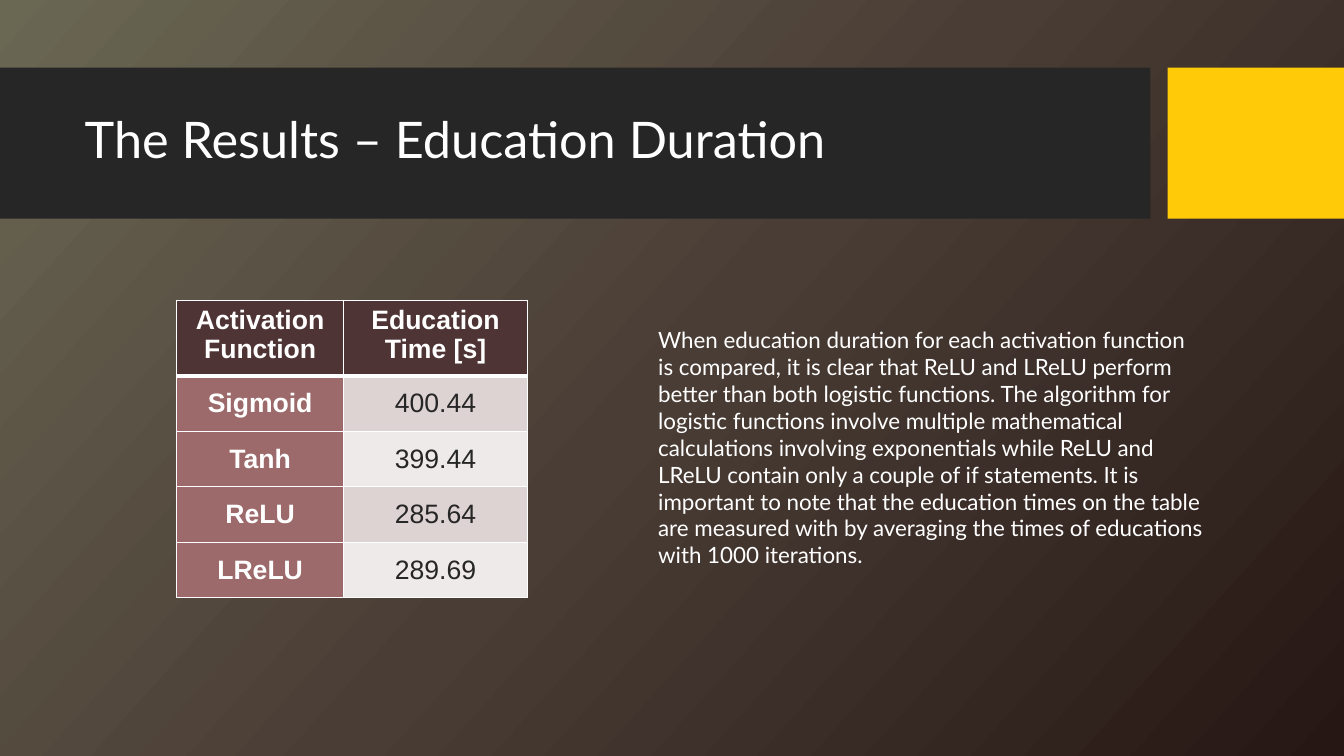
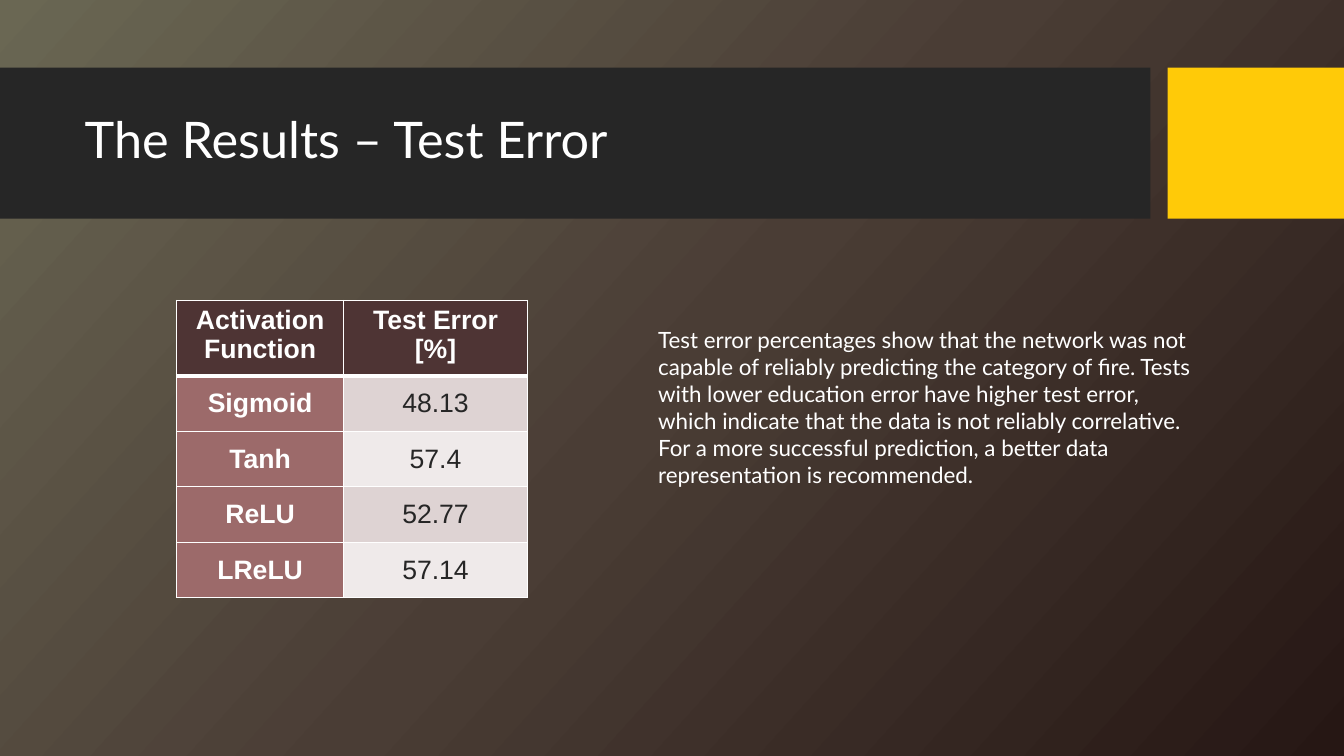
import copy
from dataclasses import dataclass

import pptx
import pptx.dml.color
import pptx.enum.shapes
import pptx.enum.text
import pptx.oxml
import pptx.oxml.ns
import pptx.util

Inches = pptx.util.Inches
Pt = pptx.util.Pt
RGB = pptx.dml.color.RGBColor.from_string
ALIGN = pptx.enum.text.PP_ALIGN
ANCHOR = pptx.enum.text.MSO_ANCHOR


@dataclass(frozen=True)
class Theme:
    backdrop: tuple = ("6A6753", "4A3D35", "261714")
    backdrop_angle: int = 42
    dark: str = "262626"
    accent: str = "FFCA08"
    light: str = "FFFFFF"
    header: str = "4E3434"
    label: str = "9C6A6A"
    stripes: tuple = ("DED3D3", "EFEAEA")
    text_font: str = "Lato"
    table_font: str = "Arial"
    title_size: int = 36
    table_size: int = 19
    text_size: int = 16


THEME = Theme()
FUNCTIONS = ["Sigmoid", "Tanh", "ReLU", "LReLU"]
RESULTS = [
    {
        "title": "The Results – Education Duration",
        "measure": "Education Time [s]",
        "values": ["400.44", "399.44", "285.64", "289.69"],
        "comment": (
            "When education duration for each activation function is compared, it is clear "
            "that ReLU and LReLU perform better than both logistic functions. The algorithm "
            "for logistic functions involve multiple mathematical calculations involving "
            "exponentials while ReLU and LReLU contain only a couple of if statements. It is "
            "important to note that the education times on the table are measured with by "
            "averaging the times of educations with 1000 iterations."
        ),
        "comment_height": 2.52,
    },
    {
        "title": "The Results – Test Error",
        "measure": "Test Error\n[%]",
        "values": ["48.13", "57.4", "52.77", "57.14"],
        "comment": (
            "Test error percentages show that the network was not capable of reliably "
            "predicting the category of fire. Tests with lower education error have higher "
            "test error, which indicate that the data is not reliably correlative. For a "
            "more successful prediction, a better data representation is recommended."
        ),
        "comment_height": 1.72,
    },
]
COLUMN_WIDTHS = [1.66, 1.82]
ROW_HEIGHTS = [0.75] + [0.55] * len(FUNCTIONS)


def format_text(frame, font, size, color, bold=False, align=ALIGN.LEFT):
    for paragraph in frame.paragraphs:
        paragraph.alignment = align
        for run in paragraph.runs:
            run.font.name = font
            run.font.size = Pt(size)
            run.font.bold = bold
            run.font.color.rgb = RGB(color)


def add_border(cell, side, points):
    cell._tc.get_or_add_tcPr().append(pptx.oxml.parse_xml(
        f'<a:ln{side} {pptx.oxml.ns.nsdecls("a")} w="{Pt(points)}">'
        f'<a:solidFill><a:srgbClr val="{THEME.light}"/></a:solidFill></a:ln{side}>'
    ))


deck = pptx.Presentation()
deck.slide_width = Inches(13.33)
deck.slide_height = Inches(7.5)

# Gradient background on the master
backdrop = deck.slide_master.background.fill
backdrop.gradient()
backdrop.gradient_angle = 360 - THEME.backdrop_angle
stop_list = deck.slide_master.element.xpath("./p:cSld/p:bg//a:gsLst")[0]
stop_list.append(copy.deepcopy(stop_list[0]))
for index, (stop, color) in enumerate(zip(backdrop.gradient_stops, THEME.backdrop)):
    stop.position = index / 2
    stop.color.rgb = RGB(color)

# Title area on the layout, without date, footer and number
layout = deck.slide_layouts.get_by_name("Title Only")
for placeholder in list(layout.placeholders):
    if placeholder.placeholder_format.idx != 0:
        placeholder.element.getparent().remove(placeholder.element)
title_area = layout.placeholders[0]
title_area.left, title_area.top = Inches(0.74), Inches(0.82)
title_area.width, title_area.height = Inches(10.51), Inches(1.18)
title_area.text_frame.vertical_anchor = ANCHOR.MIDDLE
title_area.text_frame.auto_size = pptx.enum.text.MSO_AUTO_SIZE.NONE

slides = [deck.slides.add_slide(layout) for _ in RESULTS]

# Title bands, drawn once and moved to the layout behind the title
for left, width, color in [(0, 11.41, THEME.dark), (11.58, 1.75, THEME.accent)]:
    band = slides[0].shapes.add_shape(
        pptx.enum.shapes.MSO_SHAPE.RECTANGLE,
        Inches(left), Inches(0.67), Inches(width), Inches(1.5),
    )
    band.shadow.inherit = False
    band.fill.solid()
    band.fill.fore_color.rgb = RGB(color)
    band.line.fill.background()
    title_area.element.addprevious(band.element)

for slide, result in zip(slides, RESULTS):
    # Title
    title = slide.shapes.title.text_frame
    title.text = result["title"]
    title.paragraphs[0].line_spacing = 0.9
    format_text(title, THEME.text_font, THEME.title_size, THEME.light)

    # Results table
    rows = [("Activation Function", result["measure"]), *zip(FUNCTIONS, result["values"])]
    table = slide.shapes.add_table(
        len(rows), len(COLUMN_WIDTHS), Inches(1.75), Inches(2.98),
        Inches(sum(COLUMN_WIDTHS)), Inches(sum(ROW_HEIGHTS)),
    ).table
    for column, width in zip(table.columns, COLUMN_WIDTHS):
        column.width = Inches(width)
    for r, (texts, height) in enumerate(zip(rows, ROW_HEIGHTS)):
        table.rows[r].height = Inches(height)
        for c, text in enumerate(texts):
            cell = table.cell(r, c)
            is_value = r > 0 and c == 1
            if r == 0:
                fill = THEME.header
            else:
                fill = THEME.stripes[(r - 1) % 2] if is_value else THEME.label
            for side in "LRTB":
                under_header = (r, side) in [(0, "B"), (1, "T")]
                add_border(cell, side, 3 if under_header else 1)
            cell.fill.solid()
            cell.fill.fore_color.rgb = RGB(fill)
            cell.margin_left = cell.margin_right = Inches(0.11)
            cell.vertical_anchor = ANCHOR.MIDDLE if r else ANCHOR.TOP
            cell.text_frame.text = text
            format_text(
                cell.text_frame, THEME.table_font, THEME.table_size,
                THEME.dark if is_value else THEME.light,
                bold=not is_value, align=ALIGN.CENTER,
            )

    # Comment beside the table
    comment = slide.shapes.add_textbox(
        Inches(6.43), Inches(3.19), Inches(5.6), Inches(result["comment_height"])
    ).text_frame
    comment.word_wrap = True
    comment.auto_size = pptx.enum.text.MSO_AUTO_SIZE.SHAPE_TO_FIT_TEXT
    comment.text = result["comment"]
    format_text(comment, THEME.text_font, THEME.text_size, THEME.light)

deck.save("out.pptx")
